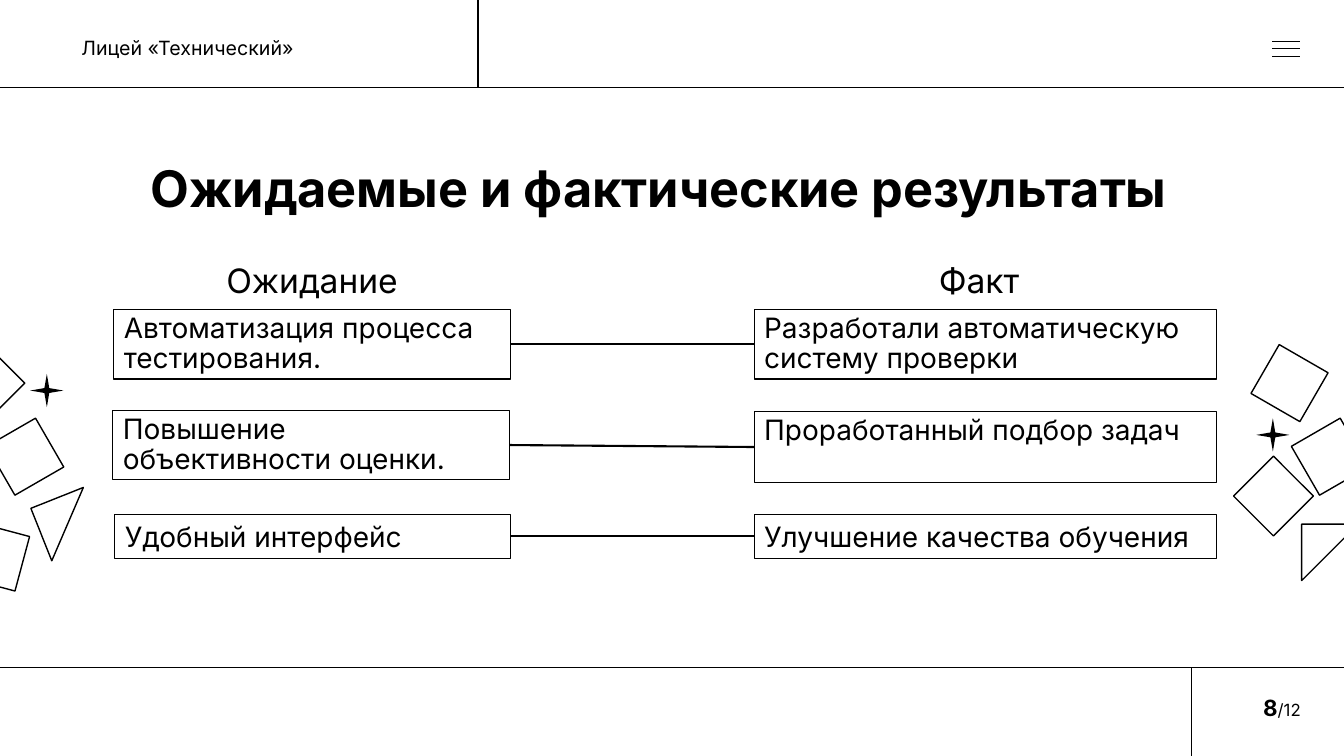
from pptx import Presentation
from pptx.dml.color import RGBColor
from pptx.enum.shapes import MSO_CONNECTOR, MSO_SHAPE
from pptx.enum.text import MSO_ANCHOR, PP_ALIGN
from pptx.oxml.ns import qn
from pptx.util import Inches, Pt

BLACK = RGBColor(0, 0, 0)
FONT = "Inter"
WIDTH, HEIGHT = 13.33, 7.5
HEADER_Y, FOOTER_Y = 0.87, 6.62

SCHOOL = "Лицей «Технический»"
TITLE = "Ожидаемые и фактические результаты"
PAGE_NUMBER = [("8", 16, True), ("/12", 12, False)]
# heading, left, width
HEADINGS = [("Ожидание", 1.13, 3.93), ("Факт", 7.35, 4.72)]

# expectation and fact: text, left, top, width, height; then line spacing
RESULTS = [
    (("Автоматизация процесса тестирования.", 1.13, 3.07, 3.93, 0.69),
     ("Разработали автоматическую систему проверки", 7.48, 3.07, 4.59, 0.69), 0.9),
    (("Повышение объективности оценки.", 1.12, 4.07, 3.93, 0.69),
     ("Проработанный подбор задач", 7.48, 4.08, 4.59, 0.71), 0.9),
    (("Удобный интерфейс", 1.14, 5.1, 3.92, 0.44),
     ("Улучшение качества обучения", 7.48, 5.1, 4.59, 0.44), 1.0),
]

FRAME_LINES = [
    (0, HEADER_Y, WIDTH, HEADER_Y),
    (0, FOOTER_Y, WIDTH, FOOTER_Y),
    (4.74, 0, 4.74, HEADER_Y),
    (11.82, FOOTER_Y, 11.82, HEIGHT),
]
MENU_LINES = [(12.62, y, 12.89, y) for y in (0.41, 0.48, 0.56)]

# left, top, rotation
SQUARE, STAR = 0.56, 0.33
SQUARES = [
    (12.91, 4.25, 240), (12.51, 3.52, 210), (12.35, 4.64, 225),
    (-0.03, 4.25, 240), (-0.43, 3.52, 225), (-0.33, 5.24, 195),
]
TRIANGLES = [(12.91, 5.2, 90), (0.39, 4.92, 68.3)]
STARS = [(12.46, 4.15), (0.3, 3.71)]


def add_outline(page, kind, left, top, width, height, line_width):
    shape = page.shapes.add_shape(
        kind, Inches(left), Inches(top), Inches(width), Inches(height))
    shape.shadow.inherit = False
    shape.fill.background()
    shape.line.color.rgb = BLACK
    shape.line.width = Pt(line_width)
    return shape


def add_line(page, x1, y1, x2, y2, line_width=1):
    line = page.shapes.add_connector(
        MSO_CONNECTOR.STRAIGHT, Inches(x1), Inches(y1), Inches(x2), Inches(y2))
    line.line.color.rgb = BLACK
    line.line.width = Pt(line_width)
    properties = line._element.spPr
    properties.append(properties.makeelement(qn("a:effectLst"), {}))
    return line


def style_font(font, size, bold=False):
    font.name = FONT
    font.size = Pt(size)
    font.bold = bold
    font.color.rgb = BLACK


def write(box, text, size, align=PP_ALIGN.LEFT, spacing=1.0, bold=False, wrap=True):
    frame = box.text_frame
    frame.word_wrap = wrap
    frame.vertical_anchor = MSO_ANCHOR.TOP
    para = frame.paragraphs[0]
    para.text = text
    para.alignment = align
    para.line_spacing = spacing
    style_font(para.font, size, bold)


def add_text_box(page, left, top, width, height):
    return page.shapes.add_textbox(
        Inches(left), Inches(top), Inches(width), Inches(height))


def add_frame(page):
    """Header, footer, menu icon and page number."""
    for ends in FRAME_LINES + MENU_LINES:
        add_line(page, *ends)
    write(add_text_box(page, 0.71, 0.31, 2.34, 0.34), SCHOOL, 14, wrap=False)

    number_frame = add_text_box(page, 10, 6.82, 3, 0.4).text_frame
    number_frame.word_wrap = True
    number_frame.vertical_anchor = MSO_ANCHOR.MIDDLE
    para = number_frame.paragraphs[0]
    para.alignment = PP_ALIGN.RIGHT
    for text, size, bold in PAGE_NUMBER:
        span = para.add_run()
        span.text = text
        style_font(span.font, size, bold)


def add_decoration(page):
    for kind, places in ((MSO_SHAPE.RECTANGLE, SQUARES),
                         (MSO_SHAPE.RIGHT_TRIANGLE, TRIANGLES)):
        for left, top, rotation in places:
            add_outline(page, kind, left, top, SQUARE, SQUARE, 1).rotation = rotation
    for left, top in STARS:
        star = add_outline(page, MSO_SHAPE.STAR_4_POINT, left, top, STAR, STAR, 1)
        star.adjustments[0] = 0.103
        star.fill.solid()
        star.fill.fore_color.rgb = BLACK
        star.line.fill.background()


def add_results(page):
    for heading, left, width in HEADINGS:
        write(add_text_box(page, left, 2.57, width, 0.4), heading, 24,
              PP_ALIGN.CENTER, 0.9)
    for expectation, fact, spacing in RESULTS:
        pair = []
        for text, *place in (expectation, fact):
            box = add_outline(page, MSO_SHAPE.RECTANGLE, *place, 0.75)
            write(box, text, 20, spacing=spacing)
            pair.append(box)
        link = add_line(page, 0, 0, 0, 0, 1.5)
        link.begin_connect(pair[0], 3)
        link.end_connect(pair[1], 1)


def main():
    deck = Presentation()
    deck.slide_width, deck.slide_height = Inches(WIDTH), Inches(HEIGHT)
    page = deck.slides.add_slide(deck.slide_layouts[6])
    add_frame(page)
    write(add_text_box(page, 1.13, 1.58, 10.81, 0.68), TITLE, 36,
          PP_ALIGN.CENTER, 0.9, bold=True)
    add_decoration(page)
    add_results(page)
    deck.save("out.pptx")


if __name__ == "__main__":
    main()
